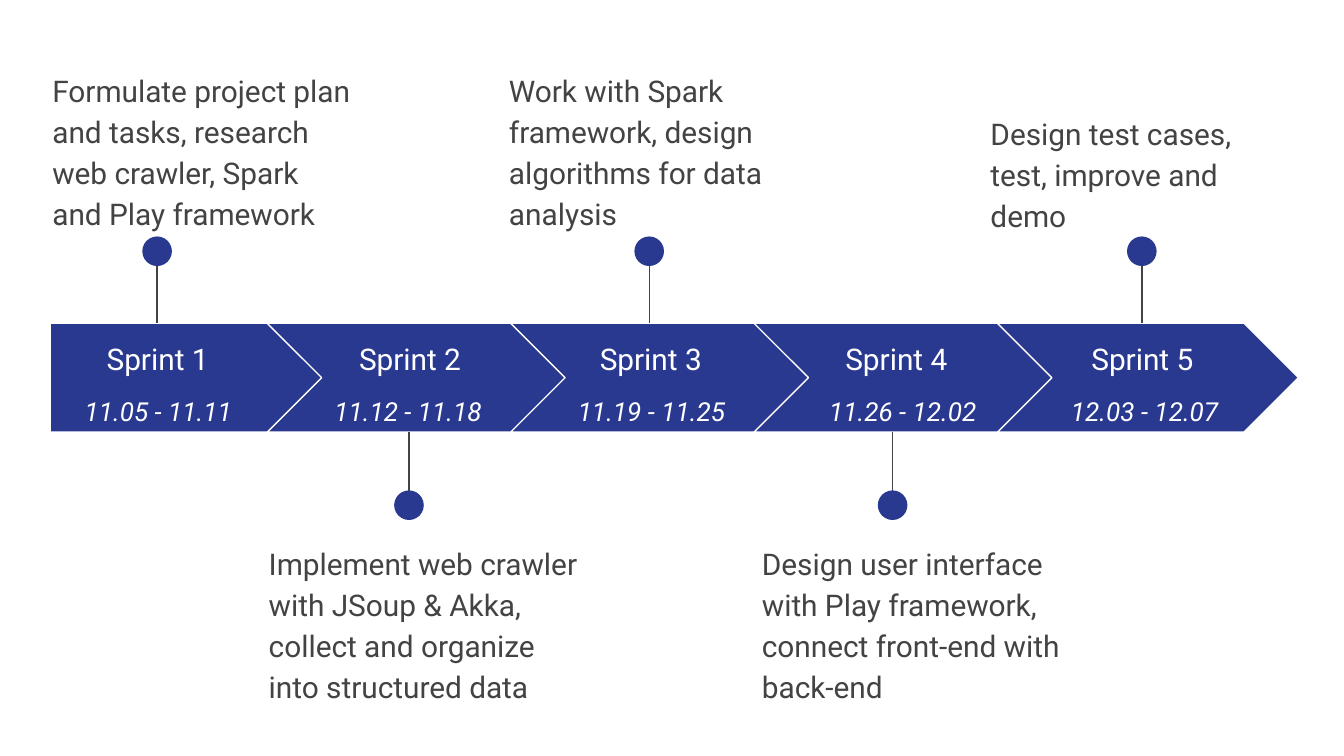
import pptx
import pptx.dml.color
import pptx.enum.shapes
import pptx.enum.text
import pptx.oxml
import pptx.oxml.ns
import pptx.util

Cm = pptx.util.Cm
Pt = pptx.util.Pt
SHAPES = pptx.enum.shapes.MSO_SHAPE
ALIGN = pptx.enum.text.PP_ALIGN
ANCHOR = pptx.enum.text.MSO_ANCHOR

BLUE, WHITE, GREY = "2A3990", "FFFFFF", "434343"

# Timeline geometry in centimetres
BAND_TOP, BAND_HEIGHT = 6.11, 2.06
BAND_BOTTOM = BAND_TOP + BAND_HEIGHT
STEP_PITCH = 4.6
DOT_SIZE = 0.56

# name, name centre, dates, dates left, stem x, above the band?,
# description, description box (left, top, width, height)
SPRINTS = [
    ("Sprint 1", 2.98, "11.05 - 11.11", 1.35, 2.97, True,
     "Formulate project plan and tasks, research web crawler, Spark and Play framework",
     (0.74, 1.02, 6.22, 3.33)),
    ("Sprint 2", 7.75, "11.12 - 11.18", 6.07, 7.73, False,
     "Implement web crawler with JSoup & Akka, collect and organize into structured data",
     (4.83, 9.96, 6.58, 2.51)),
    ("Sprint 3", 12.3, "11.19 - 11.25", 10.67, 12.27, True,
     "Work with Spark framework, design algorithms for data analysis",
     (9.37, 1.02, 6.22, 3.33)),
    ("Sprint 4", 16.94, "11.26 - 12.02", 15.42, 16.87, False,
     "Design user interface with Play framework, connect front-end with back-end",
     (14.15, 9.96, 6.22, 2.51)),
    ("Sprint 5", 21.59, "12.03 - 12.07", 19.99, 21.58, True,
     "Design test cases, test, improve and demo",
     (18.47, 1.83, 6, 1.3)),
]


def color(value):
    return pptx.dml.color.RGBColor.from_string(value)


class TimelineSlide:
    font_name = "Roboto"

    def __init__(self, slide):
        self.slide = slide

    def shape(self, kind, left, top, width, height, outline=None):
        shape = self.slide.shapes.add_shape(
            kind, Cm(left), Cm(top), Cm(width), Cm(height))
        shape.shadow.inherit = False
        shape.fill.solid()
        shape.fill.fore_color.rgb = color(BLUE)
        if outline:
            shape.line.color.rgb = color(outline)
            shape.line.width = Pt(0.75)
        else:
            shape.line.fill.background()
        return shape

    def stem(self, x, start, end):
        connector = self.slide.shapes.add_connector(
            pptx.enum.shapes.MSO_CONNECTOR.STRAIGHT,
            Cm(x), Cm(start), Cm(x), Cm(end))
        connector.line.color.rgb = color(GREY)
        connector.line.width = Pt(0.75)
        connector._element.spPr.append(
            pptx.oxml.parse_xml("<a:effectLst %s/>" % pptx.oxml.ns.nsdecls("a")))

    def text(self, text, box, size, text_color, italic=False, spacing=1.15,
             align=ALIGN.LEFT, anchor=ANCHOR.TOP):
        text_box = self.slide.shapes.add_textbox(*[Cm(length) for length in box])
        frame = text_box.text_frame
        frame.word_wrap = True
        frame.vertical_anchor = anchor
        frame.margin_left = frame.margin_right = Cm(0.25)
        frame.margin_top = frame.margin_bottom = Cm(0.25)
        frame.text = text
        paragraph = frame.paragraphs[0]
        paragraph.alignment = align
        paragraph.line_spacing = spacing
        font = paragraph.runs[0].font
        font.name = self.font_name
        font.size = Pt(size)
        font.italic = italic
        font.color.rgb = color(text_color)

    def step(self, index):
        if index == 0:
            self.shape(SHAPES.PENTAGON, 0.95, BAND_TOP, 5.2, BAND_HEIGHT, WHITE)
        else:
            self.shape(SHAPES.CHEVRON, 0.45 + index * STEP_PITCH, BAND_TOP,
                       5.69, BAND_HEIGHT, WHITE)

    def marker(self, x, above):
        if above:
            dot_top, band_edge = 4.47, BAND_TOP
        else:
            dot_top, band_edge = 9.27, BAND_BOTTOM
        self.stem(x, dot_top + DOT_SIZE / 2, band_edge)
        self.shape(SHAPES.OVAL, x - DOT_SIZE / 2, dot_top, DOT_SIZE, DOT_SIZE)


def main():
    presentation = pptx.Presentation()
    presentation.slide_width = Cm(25.4)
    presentation.slide_height = Cm(14.29)
    blank_layout = presentation.slide_layouts[6]
    timeline = TimelineSlide(presentation.slides.add_slide(blank_layout))

    # Arrow band
    for index in range(len(SPRINTS)):
        timeline.step(index)

    # Sprint names, dates, markers and descriptions
    for name, center, dates, dates_left, stem_x, above, description, box in SPRINTS:
        timeline.text(name, (center - 1.83, 6.12, 3.66, 1.3), 16, WHITE,
                      spacing=1, align=ALIGN.CENTER, anchor=ANCHOR.MIDDLE)
        timeline.text(dates, (dates_left, 7.14, 3.66, 0.89), 14, WHITE, italic=True)
        timeline.marker(stem_x, above)
        timeline.text(description, box, 16, GREY)

    presentation.save("out.pptx")


if __name__ == "__main__":
    main()
